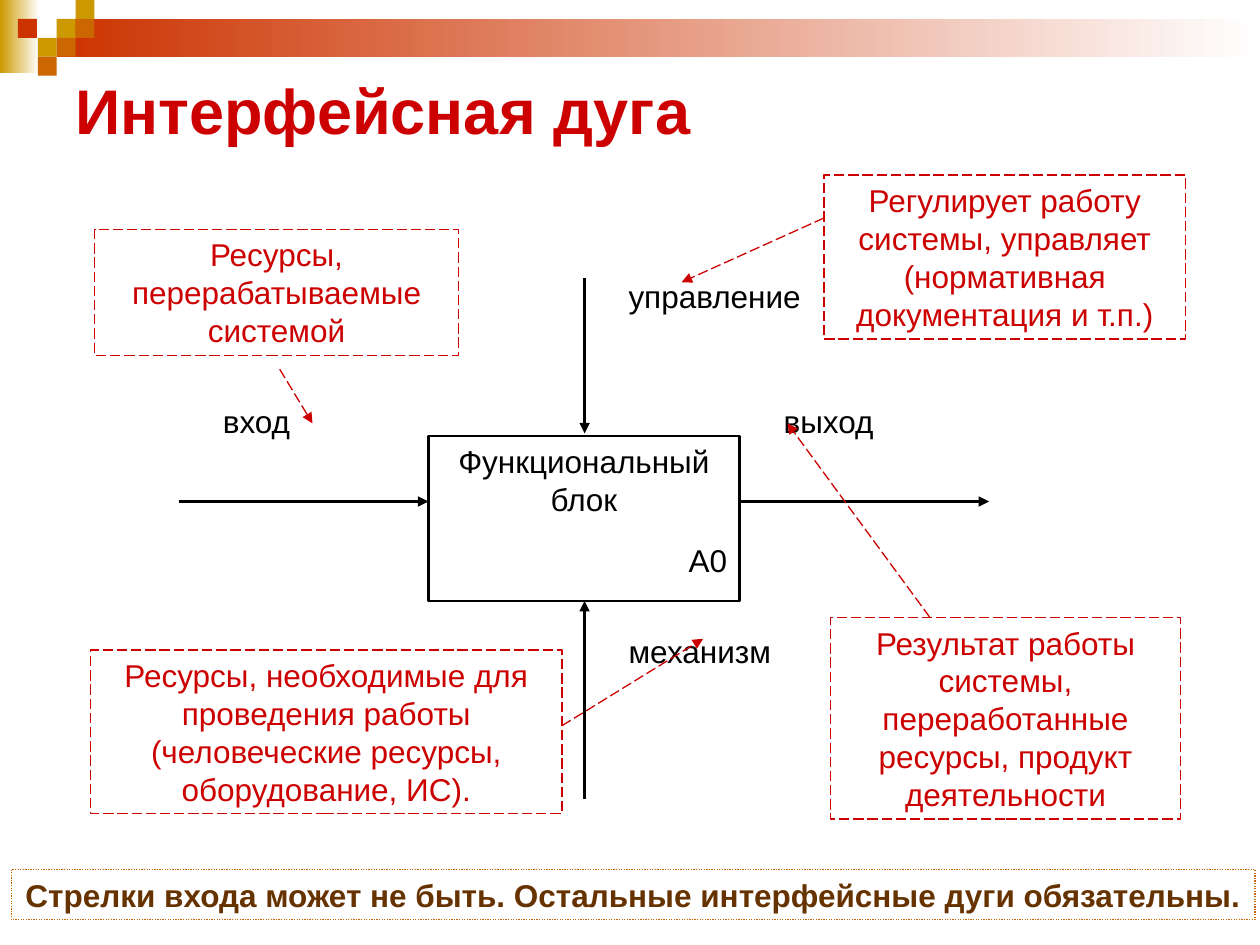
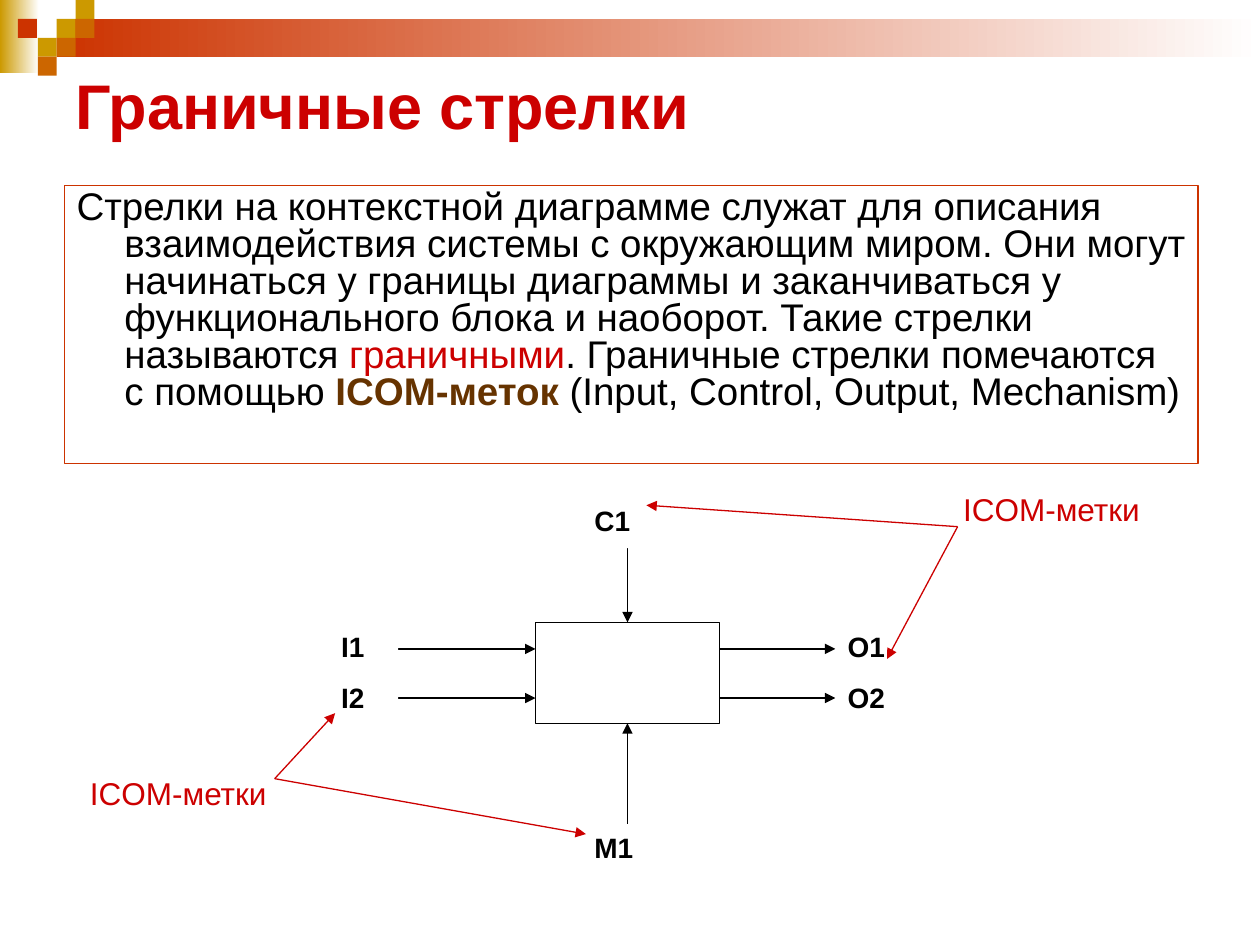
from lxml import etree
from pptx import Presentation
from pptx import util as u
from pptx.dml.color import RGBColor
from pptx.enum import dml, shapes, text
from pptx.oxml.ns import qn

COLORS = {
    "black": "000000", "white": "FFFFFF", "red": "CC0000", "brown": "663300",
    "gold": "CC9900", "rust": "CC3300", "orange": "CC6600",
}
FONT = "Arial"
ALIGN = text.PP_ALIGN
TILE = 0.15


def rgb(name):
    return RGBColor.from_string(COLORS[name])


def style_line(line, color, width, dashed=False):
    line.color.rgb = rgb(color)
    line.width = u.Pt(width)
    if dashed:
        line.dash_style = dml.MSO_LINE.LONG_DASH


def add_box(slide, left, top, width, height, fill=None, line=None,
            line_width=0.75, dashed=False):
    shape = slide.shapes.add_shape(
        shapes.MSO_SHAPE.RECTANGLE, *map(u.Inches, (left, top, width, height)))
    shape.shadow.inherit = False
    if fill:
        shape.fill.solid()
        shape.fill.fore_color.rgb = rgb(fill)
    else:
        shape.fill.background()
    if line:
        style_line(shape.line, line, line_width, dashed)
    else:
        shape.line.fill.background()
    return shape


def add_gradient(slide, left, top, width, height, color):
    shape = add_box(slide, left, top, width, height)
    shape.fill.gradient()
    shape.fill.gradient_angle = 0
    for stop, name in zip(shape.fill.gradient_stops, (color, "white")):
        stop.color.rgb = rgb(name)


def write(shape, lines, size=18, color="black", bold=False, align=ALIGN.LEFT,
          anchor=text.MSO_ANCHOR.TOP, wrap=True):
    """Fill a shape with paragraphs and return them."""
    frame = shape.text_frame
    frame.word_wrap = wrap
    frame.vertical_anchor = anchor
    frame.text = "\n".join(lines)
    for paragraph in frame.paragraphs:
        paragraph.alignment = align
        font = paragraph.font
        font.name, font.size, font.bold = FONT, u.Pt(size), bold
        font.color.rgb = rgb(color)
    return frame.paragraphs


def add_arrow(slide, start, end, color="black", width=0.75, dashed=False):
    connector = slide.shapes.add_connector(
        shapes.MSO_CONNECTOR.STRAIGHT, *map(u.Inches, (*start, *end)))
    style_line(connector.line, color, width, dashed)
    properties = connector._element.spPr
    etree.SubElement(properties.find(qn("a:ln")), qn("a:tailEnd"), type="triangle")
    etree.SubElement(properties, qn("a:effectLst"))


def add_label(slide, label, left, top, width, height, size=18, bold=False):
    write(add_box(slide, left, top, width, height, "white"), [label], size, bold=bold)


def add_callout(slide, label, box, start, end):
    """Dashed red note with its pointer."""
    shape = add_box(slide, *box, line="red", dashed=True)
    write(shape, [label], color="red", align=ALIGN.CENTER)
    add_arrow(slide, start, end, "red", dashed=True)


def add_icom_note(slide, left, top, start, ends):
    """Red caption with pointers fanning out from one point."""
    shape = slide.shapes.add_textbox(*map(u.Inches, (left, top, 1.65, 0.4)))
    write(shape, ["ICOM-метки"], color="red", align=ALIGN.CENTER)
    for end in ends:
        add_arrow(slide, start, end, "red")


def add_base_slide(presentation, title, title_height):
    """Slide with the shared header band, mosaic and title."""
    slide = presentation.slides.add_slide(presentation.slide_layouts[6])
    add_gradient(slide, 0, 0, 0.31, 0.58, "gold")
    add_gradient(slide, 0.45, 0.15, 9.55, 0.3, "rust")
    tiles = [(3, 1, "gold"), (4, 0, "gold"), (4, 1, "orange"), (2, 2, "gold"),
             (0.95, 1, "rust"), (3, 2, "orange"), (2, 3, "orange")]
    for column, row, color in tiles:
        add_box(slide, column * TILE, row * TILE, TILE, TILE, color)
    shape = slide.shapes.add_textbox(*map(u.Inches, (0.5, 0.5, 9, title_height)))
    write(shape, [title], 36, "red", True, anchor=text.MSO_ANCHOR.MIDDLE)
    return slide


def build_interface_arc(presentation):
    slide = add_base_slide(presentation, "Интерфейсная дуга", 0.73)

    # Function block and its four arcs
    add_arrow(slide, (4.64, 2.21), (4.64, 3.44), width=1.5)
    block = add_box(slide, 3.4, 3.46, 2.47, 1.31, "white", "black", 1.5)
    name, code = write(block, ["Функциональный блок", "А0"])
    name.alignment, code.alignment = ALIGN.CENTER, ALIGN.RIGHT
    code.space_before = u.Pt(13)
    for start, end in [((1.42, 3.98), (3.4, 3.98)), ((5.88, 3.98), (7.85, 3.98)),
                       ((4.64, 6.34), (4.64, 4.77))]:
        add_arrow(slide, start, end, width=1.5)
    for label, left, top, width in [
            ("управление", 4.89, 2.15, 2.23), ("вход", 1.67, 3.14, 1.24),
            ("выход", 6.12, 3.14, 1.48), ("механизм", 4.89, 4.97, 1.98)]:
        add_label(slide, label, left, top, width, 0.79)

    # Explanations
    add_callout(slide, "Ресурсы, необходимые для проведения работы "
                "(человеческие ресурсы, оборудование, ИС).",
                (0.72, 5.16, 3.74, 1.3), (4.46, 5.76), (5.58, 5.07))
    add_callout(slide, "Ресурсы, перерабатываемые системой",
                (0.75, 1.82, 2.89, 1), (2.22, 2.93), (2.48, 3.36))
    add_callout(slide, "Регулирует работу системы, управляет "
                "(нормативная документация и т.п.)",
                (6.54, 1.39, 2.87, 1.3), (6.54, 1.73), (5.41, 2.24))
    add_callout(slide, "Результат работы системы, переработанные ресурсы, "
                "продукт деятельности",
                (6.59, 4.9, 2.78, 1.6), (7.38, 4.9), (6.25, 3.36))

    # Conclusion
    conclusion = add_box(slide, 0.09, 6.9, 9.87, 0.4, line="orange")
    conclusion.line.dash_style = dml.MSO_LINE.ROUND_DOT
    write(conclusion, ["Стрелки входа может не быть. Остальные интерфейсные дуги "
                       "обязательны."], color="brown", bold=True,
          align=ALIGN.CENTER, wrap=False)


def build_boundary_arrows(presentation):
    slide = add_base_slide(presentation, "Граничные стрелки", 0.65)

    # Definition
    definition = add_box(slide, 0.51, 1.47, 9, 2.21, line="rust")
    paragraph = write(definition, [""], 22)[0]
    paragraph.line_spacing = 0.8
    paragraph.space_before = u.Pt(5.5)
    indent = u.Inches(0.38)
    paragraph._p.get_or_add_pPr().set("marL", str(indent))
    paragraph._p.get_or_add_pPr().set("indent", str(-indent))
    for words, color, bold in [
            ("Стрелки на контекстной диаграмме служат для описания взаимодействия "
             "системы с окружающим миром. Они могут начинаться у границы диаграммы "
             "и заканчиваться у функционального блока и наоборот. Такие стрелки "
             "называются ", "black", False),
            ("граничными", "red", False),
            (". Граничные стрелки помечаются с помощью ", "black", False),
            ("ICOM-меток", "brown", True),
            (" (Input, Control, Output, Mechanism)", "black", False)]:
        run = paragraph.add_run()
        run.text = words
        run.font.color.rgb = rgb(color)
        run.font.bold = bold

    # Block with its boundary arrows
    add_box(slide, 4.25, 4.94, 1.46, 0.8, "white", "black")
    for y in (5.15, 5.54):
        add_arrow(slide, (3.15, y), (4.25, y))
        add_arrow(slide, (5.71, y), (6.63, y))
    add_arrow(slide, (4.98, 4.15), (4.98, 4.94))
    add_arrow(slide, (4.98, 6.54), (4.98, 5.74))

    # ICOM labels
    for label, left, top, width in [
            ("I1", 2.61, 4.95, 0.55), ("I2", 2.61, 5.35, 0.55),
            ("M1", 4.62, 6.54, 0.73), ("C1", 4.62, 3.95, 0.73),
            ("O1", 6.63, 4.95, 0.73), ("O2", 6.63, 5.35, 0.73)]:
        add_label(slide, label, left, top, width, 0.4, 16, True)
    add_icom_note(slide, 7.52, 3.84, (7.6, 4.18), [(5.13, 4.01), (7.04, 5.23)])
    add_icom_note(slide, 0.59, 6.09, (2.18, 6.18), [(2.66, 5.66), (4.65, 6.62)])


def main():
    presentation = Presentation()
    presentation.slide_width = u.Inches(10)
    presentation.slide_height = u.Inches(7.5)
    build_interface_arc(presentation)
    build_boundary_arrows(presentation)
    presentation.save("out.pptx")


if __name__ == "__main__":
    main()
